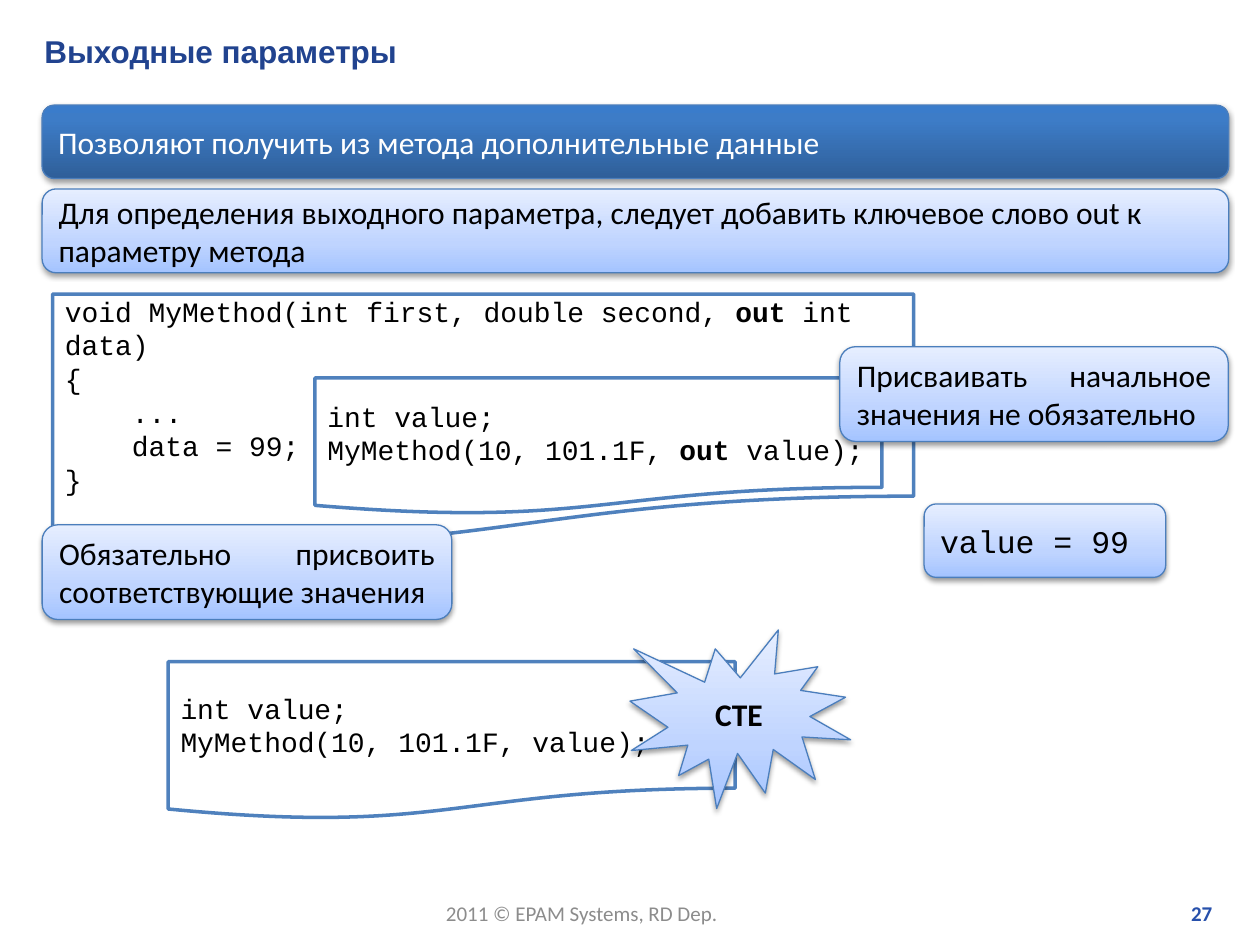
"""Build the slide about output parameters of a method."""
from pptx import Presentation
from pptx import util as u
from pptx.dml.color import RGBColor
from pptx.enum import shapes, text
from pptx.oxml import parse_xml
from pptx.oxml.ns import nsdecls, qn

TITLE = "Выходные параметры"
FOOTER = "2011 © EPAM Systems, RD Dep."
PAGE_NUMBER = "27"

DOCUMENTS = [
    ((1.06, 5.93, 17.36, 5.08), [
        "void MyMethod(int first, double second, **out** int data)",
        "{",
        "    ...",
        "    data = 99;",
        "}",
    ]),
    ((6.35, 7.62, 11.43, 2.75), ["int value;", "MyMethod(10, 101.1F, **out** value);"]),
    ((3.39, 13.34, 11.43, 3.18), ["int value;", "MyMethod(10, 101.1F, value);"]),
]

ROUND = shapes.MSO_SHAPE.ROUNDED_RECTANGLE
BURST = shapes.MSO_SHAPE.EXPLOSION1
LEFT, CENTER = text.PP_ALIGN.LEFT, text.PP_ALIGN.CENTER
RIGHT, JUSTIFY = text.PP_ALIGN.RIGHT, text.PP_ALIGN.JUSTIFY

BLACK = RGBColor(0x00, 0x00, 0x00)
WHITE = RGBColor(0xFF, 0xFF, 0xFF)
TITLE_BLUE = RGBColor(0x21, 0x43, 0x8F)
NUMBER_BLUE = RGBColor(0x27, 0x50, 0xAB)
FOOTER_GREY = RGBColor(0x8C, 0x8C, 0x8C)
PANEL_LINE = RGBColor(0x4B, 0x7E, 0xBC)
CODE_LINE = RGBColor(0x4F, 0x81, 0xBD)

DARK = [(0, RGBColor(0x2F, 0x5F, 0x99)), (80, RGBColor(0x3D, 0x7C, 0xC7)),
        (100, RGBColor(0x3A, 0x7C, 0xCB))]
LIGHT = [(0, RGBColor(0xA4, 0xC4, 0xFF)), (35, RGBColor(0xBF, 0xD4, 0xFF)),
         (100, RGBColor(0xE6, 0xEE, 0xFF))]

PANELS = [
    (ROUND, (0.85, 2.12, 23.92, 1.48), DARK,
     "Позволяют получить из метода дополнительные данные", dict(color=WHITE)),
    (ROUND, (0.85, 3.81, 23.92, 1.69), LIGHT,
     "Для определения выходного параметра, следует добавить ключевое слово out "
     "к параметру метода", {}),
    (ROUND, (16.93, 6.99, 7.83, 1.91), LIGHT,
     "Присваивать начальное значения не обязательно", dict(align=JUSTIFY)),
    (ROUND, (0.85, 10.58, 8.26, 1.91), LIGHT,
     "Обязательно присвоить соответствующие значения", dict(align=JUSTIFY)),
    (ROUND, (18.63, 10.16, 4.87, 1.48), LIGHT,
     "value = 99", dict(align=JUSTIFY, font="Courier New")),
    (BURST, (12.7, 12.7, 4.45, 3.6), LIGHT, "**CTE**", dict(align=CENTER)),
]


def box(values):
    return [u.Cm(value) for value in values]


def write(frame, lines, size=18, font="Calibri", color=BLACK, align=LEFT,
          anchor=text.MSO_ANCHOR.MIDDLE, wrap=True):
    """Fill a text frame; parts between double asterisks are bold."""
    frame.word_wrap = wrap
    frame.vertical_anchor = anchor
    for index, line in enumerate(lines):
        paragraph = frame.paragraphs[0] if index == 0 else frame.add_paragraph()
        paragraph.alignment = align
        for position, part in enumerate(line.split("**")):
            if part:
                run = paragraph.add_run()
                run.text = part
                run.font.size = u.Pt(size)
                run.font.name = font
                run.font.bold = position % 2 == 1
                run.font.color.rgb = color


def add_outlined(slide, kind, place, line_color, line_width):
    shape = slide.shapes.add_shape(kind, *box(place))
    shape.shadow.inherit = False
    shape.line.color.rgb = line_color
    shape.line.width = u.Pt(line_width)
    return shape


def add_panel(slide, kind, place, stops, content, style):
    shape = add_outlined(slide, kind, place, PANEL_LINE, 0.75)
    shape.fill.gradient()
    shape.fill.gradient_angle = 90
    properties = shape.element.spPr
    stop_list = properties.find(".//" + qn("a:gsLst"))
    for stop in list(stop_list):
        stop_list.remove(stop)
    for position, color in stops:
        stop_list.append(parse_xml(
            f'<a:gs {nsdecls("a")} pos="{position * 1000}"><a:srgbClr val="{color}"/></a:gs>'))
    properties.find(qn("a:effectLst")).append(parse_xml(
        f'<a:outerShdw {nsdecls("a")} blurRad="{u.Pt(3.1)}" dist="{u.Pt(1.6)}" '
        'dir="5400000" rotWithShape="0"><a:srgbClr val="000000">'
        '<a:alpha val="38000"/></a:srgbClr></a:outerShdw>'))
    write(shape.text_frame, [content], **style)


def add_document(slide, place, lines):
    shape = add_outlined(slide, shapes.MSO_SHAPE.FLOWCHART_DOCUMENT, place, CODE_LINE, 2)
    shape.fill.solid()
    shape.fill.fore_color.rgb = WHITE
    write(shape.text_frame, lines, size=16, font="Courier New")


def add_label(slide, place, content, **style):
    frame = slide.shapes.add_textbox(*box(place)).text_frame
    write(frame, [content], size=12, anchor=text.MSO_ANCHOR.TOP, **style)


def main():
    presentation = Presentation()
    presentation.slide_width, presentation.slide_height = u.Cm(25.4), u.Cm(19.05)
    slide = presentation.slides.add_slide(presentation.slide_layouts[5])

    add_label(slide, (8.74, 18.03, 6.07, 0.77), FOOTER, color=FOOTER_GREY, wrap=False)
    add_label(slide, (19.3, 18.03, 5.39, 0.77), f"**{PAGE_NUMBER}**",
              color=NUMBER_BLUE, align=RIGHT)

    title = slide.shapes.title
    title.left, title.top, title.width, title.height = box((0.64, 0.51, 24.23, 1.02))
    write(title.text_frame, [f"**{TITLE}**"], font="Arial", color=TITLE_BLUE)

    for place, lines in DOCUMENTS:
        add_document(slide, place, lines)
    for panel in PANELS:
        add_panel(slide, *panel)

    presentation.save("out.pptx")


if __name__ == "__main__":
    main()
